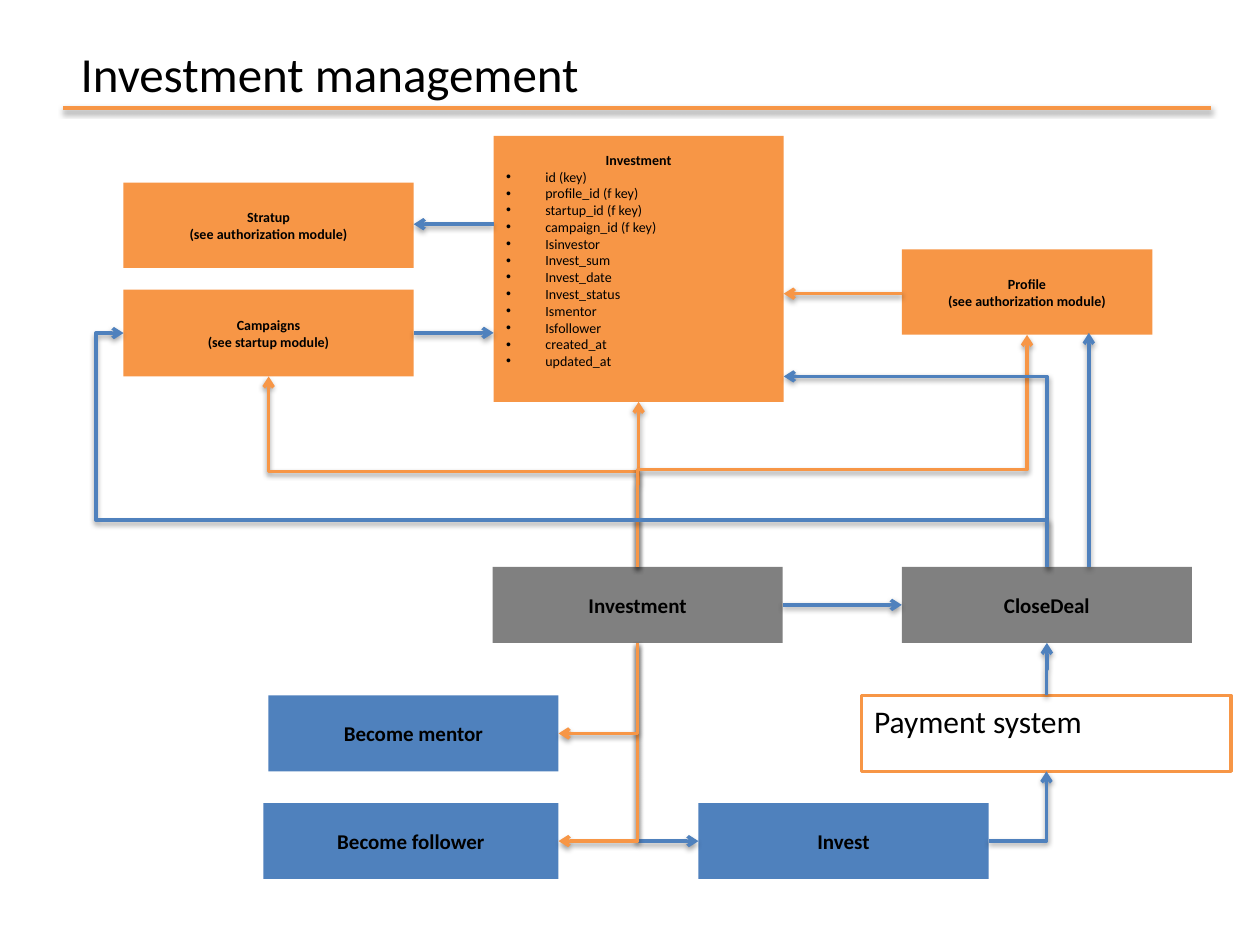
from lxml import etree
from pptx import Presentation
from pptx.dml.color import RGBColor
from pptx.enum.shapes import MSO_CONNECTOR, MSO_SHAPE
from pptx.enum.text import MSO_ANCHOR, MSO_AUTO_SIZE, PP_ALIGN
from pptx.oxml.ns import qn
from pptx.util import Cm, Pt

ORANGE = RGBColor(0xF7, 0x96, 0x46)
BLUE = RGBColor(0x4F, 0x81, 0xBD)
GRAY = RGBColor(0x80, 0x80, 0x80)
BLACK = RGBColor(0, 0, 0)
FONT = "Calibri"
FIELDS = [
    "id (key)", "profile_id (f key)", "startup_id (f key)",
    "campaign_id (f key)", "Isinvestor", "Invest_sum", "Invest_date",
    "Invest_status", "Ismentor", "Isfollower", "created_at", "updated_at",
]
TOP, BOTTOM, LEFT, RIGHT = (0.5, 0), (0.5, 1), (0, 0.5), (1, 0.5)


def place(shape, left, top, width, height):
    shape.left, shape.top = Cm(left), Cm(top)
    shape.width, shape.height = Cm(width), Cm(height)


def write(paragraph, text, size, bold=False, align=PP_ALIGN.LEFT):
    paragraph.alignment = align
    paragraph.space_before = Pt(0)
    run = paragraph.add_run()
    run.text = text
    run.font.name, run.font.size = FONT, Pt(size)
    run.font.bold = bold
    run.font.color.rgb = BLACK


def add_title(slide, text):
    title = slide.shapes.title
    place(title, 1.37, 0.74, 10.72, 1.45)
    frame = title.text_frame
    frame.word_wrap = False
    frame.auto_size = MSO_AUTO_SIZE.NONE
    frame.vertical_anchor = MSO_ANCHOR.TOP
    write(frame.paragraphs[0], text, 28)


def add_entity_list(slide, heading, fields):
    body = slide.placeholders[1]
    place(body, 9.95, 2.74, 5.85, 5.36)
    body.fill.solid()
    body.fill.fore_color.rgb = ORANGE
    frame = body.text_frame
    frame.auto_size = MSO_AUTO_SIZE.NONE
    frame.vertical_anchor = MSO_ANCHOR.MIDDLE
    frame.margin_bottom = Cm(0.47)
    first = frame.paragraphs[0]
    write(first, heading, 8, True, PP_ALIGN.CENTER)
    set_bullet(first, 0)
    for field in fields:
        paragraph = frame.add_paragraph()
        write(paragraph, field, 8)
        set_bullet(paragraph, Cm(0.79), "•")
    return body


def set_bullet(paragraph, indent, char=None):
    properties = paragraph._p.get_or_add_pPr()
    properties.set("marL", str(indent))
    properties.set("indent", str(-indent))
    if char:
        etree.SubElement(properties, qn("a:buFont"), typeface="Arial")
        etree.SubElement(properties, qn("a:buChar"), char=char)
    else:
        etree.SubElement(properties, qn("a:buNone"))


def add_box(slide, lines, left, top, width, height, fill, size):
    box = slide.shapes.add_shape(
        MSO_SHAPE.RECTANGLE, Cm(left), Cm(top), Cm(width), Cm(height))
    box.shadow.inherit = False
    frame = box.text_frame
    frame.word_wrap = True
    if fill is None:
        box.fill.background()
        box.line.color.rgb, box.line.width = ORANGE, Pt(2)
        frame.vertical_anchor = MSO_ANCHOR.TOP
    else:
        box.fill.solid()
        box.fill.fore_color.rgb = fill
        box.line.fill.background()
        frame.vertical_anchor = MSO_ANCHOR.MIDDLE
    align = PP_ALIGN.CENTER if fill else PP_ALIGN.LEFT
    for number, text in enumerate(lines):
        paragraph = frame.add_paragraph() if number else frame.paragraphs[0]
        write(paragraph, text, size, fill is not None, align)
    return box


def site(shape, position):
    across, down = position
    return (shape.left + int(shape.width * across),
            shape.top + int(shape.height * down))


def add_shadow(connector):
    effects = etree.SubElement(connector._element.spPr, qn("a:effectLst"))
    shadow = etree.SubElement(
        effects, qn("a:outerShdw"), blurRad=str(Pt(3.15)), dist=str(Pt(1.57)),
        dir="5400000", rotWithShape="0")
    color = etree.SubElement(shadow, qn("a:srgbClr"), val=str(BLACK))
    etree.SubElement(color, qn("a:alpha"), val="38000")


def add_line(slide, start, end, color, bends=0, vertical=False, adjust=(),
             arrow=True):
    dx, dy = end[0] - start[0], end[1] - start[1]
    width, height = abs(dx), abs(dy)
    rotation, flip_h, flip_v = 0, dx < 0, dy < 0
    if vertical:
        width, height = height, width
        rotation, flip_h = (270 if dy < 0 else 90), False
        flip_v = dx < 0 if dy < 0 else dx > 0
    left = (start[0] + end[0] - width) // 2
    top = (start[1] + end[1] - height) // 2
    kind = MSO_CONNECTOR.ELBOW if bends else MSO_CONNECTOR.STRAIGHT
    line = slide.shapes.add_connector(
        kind, left, top, left + width, top + height)
    properties = line._element.spPr
    frame = properties.find(qn("a:xfrm"))
    frame.set("rot", str(rotation * 60000))
    frame.set("flipH", str(int(flip_h)))
    frame.set("flipV", str(int(flip_v)))
    if bends:
        geometry = properties.find(qn("a:prstGeom"))
        geometry.set("prst", f"bentConnector{bends + 1}")
        guides = geometry.find(qn("a:avLst"))
        for number, value in enumerate(adjust, 1):
            etree.SubElement(guides, qn("a:gd"), name=f"adj{number}",
                             fmla=f"val {round(value * 100000)}")
    line.line.color.rgb, line.line.width = color, Pt(2)
    if arrow:
        etree.SubElement(properties.find(qn("a:ln")), qn("a:tailEnd"),
                         type="arrow")
    add_shadow(line)


def main():
    deck = Presentation()
    deck.slide_width, deck.slide_height = Cm(25.4), Cm(19.05)
    slide = deck.slides.add_slide(deck.slide_layouts[1])
    add_title(slide, "Investment management")
    add_line(slide, (Cm(1.27), Cm(2.18)), (Cm(24.41), Cm(2.18)), ORANGE,
             arrow=False)

    entity = add_entity_list(slide, "Investment", FIELDS)
    authorization = "(see authorization module)"
    startup = add_box(slide, ["Stratup", authorization],
                      2.49, 3.68, 5.85, 1.72, ORANGE, 8)
    campaigns = add_box(slide, ["Campaigns", "(see startup module)"],
                        2.49, 5.84, 5.85, 1.75, ORANGE, 8)
    profile = add_box(slide, ["Profile", authorization],
                      18.18, 5.03, 5.05, 1.72, ORANGE, 8)
    action, deal, mentor, follower, invest, payment = [
        add_box(slide, [text], left, top, width, 1.53, fill, size)
        for text, left, top, width, fill, size in [
            ("Investment", 9.93, 11.43, 5.85, GRAY, 12),
            ("CloseDeal", 18.18, 11.43, 5.85, GRAY, 12),
            ("Become mentor", 5.41, 14.02, 5.85, BLUE, 12),
            ("Become follower", 5.31, 16.19, 5.95, BLUE, 12),
            ("Invest", 14.08, 16.19, 5.85, BLUE, 12),
            ("Payment system", 17.37, 14.02, 7.45, None, 18),
        ]]

    for source, target, y, color in [
            (entity.left, startup.left + startup.width, 4.52, BLUE),
            (campaigns.left + campaigns.width, entity.left, 6.71, BLUE),
            (profile.left, entity.left + entity.width, 5.92, ORANGE)]:
        add_line(slide, (source, Cm(y)), (target, Cm(y)), color)

    entity_side = (entity.left + entity.width, Cm(7.59))
    for start, end, color, bends, vertical, adjust in [
            (site(action, TOP), site(campaigns, BOTTOM), ORANGE, 2, True, ()),
            (site(action, TOP), site(entity, BOTTOM), ORANGE, 2, True, ()),
            (site(action, BOTTOM), site(invest, LEFT), BLUE, 1, True, ()),
            (site(action, BOTTOM), site(follower, RIGHT), ORANGE, 1, True, ()),
            (site(action, TOP), site(profile, BOTTOM), ORANGE, 2, True,
             (0.42,)),
            (site(invest, RIGHT), site(payment, BOTTOM), BLUE, 1, False, ()),
            (site(action, BOTTOM), site(mentor, RIGHT), ORANGE, 1, True, ()),
            (site(payment, TOP), site(deal, BOTTOM), BLUE, 2, True, ()),
            (site(action, RIGHT), site(deal, LEFT), BLUE, 2, False, ()),
            (site(deal, TOP), entity_side, BLUE, 1, True, ()),
            (site(deal, TOP), site(campaigns, LEFT), BLUE, 3, True,
             (0.2, 1.03))]:
        add_line(slide, start, end, color, bends, vertical, adjust)
    add_line(slide, (Cm(21.95), deal.top), (Cm(21.95), Cm(6.71)), BLUE)
    deck.save("out.pptx")


main()
